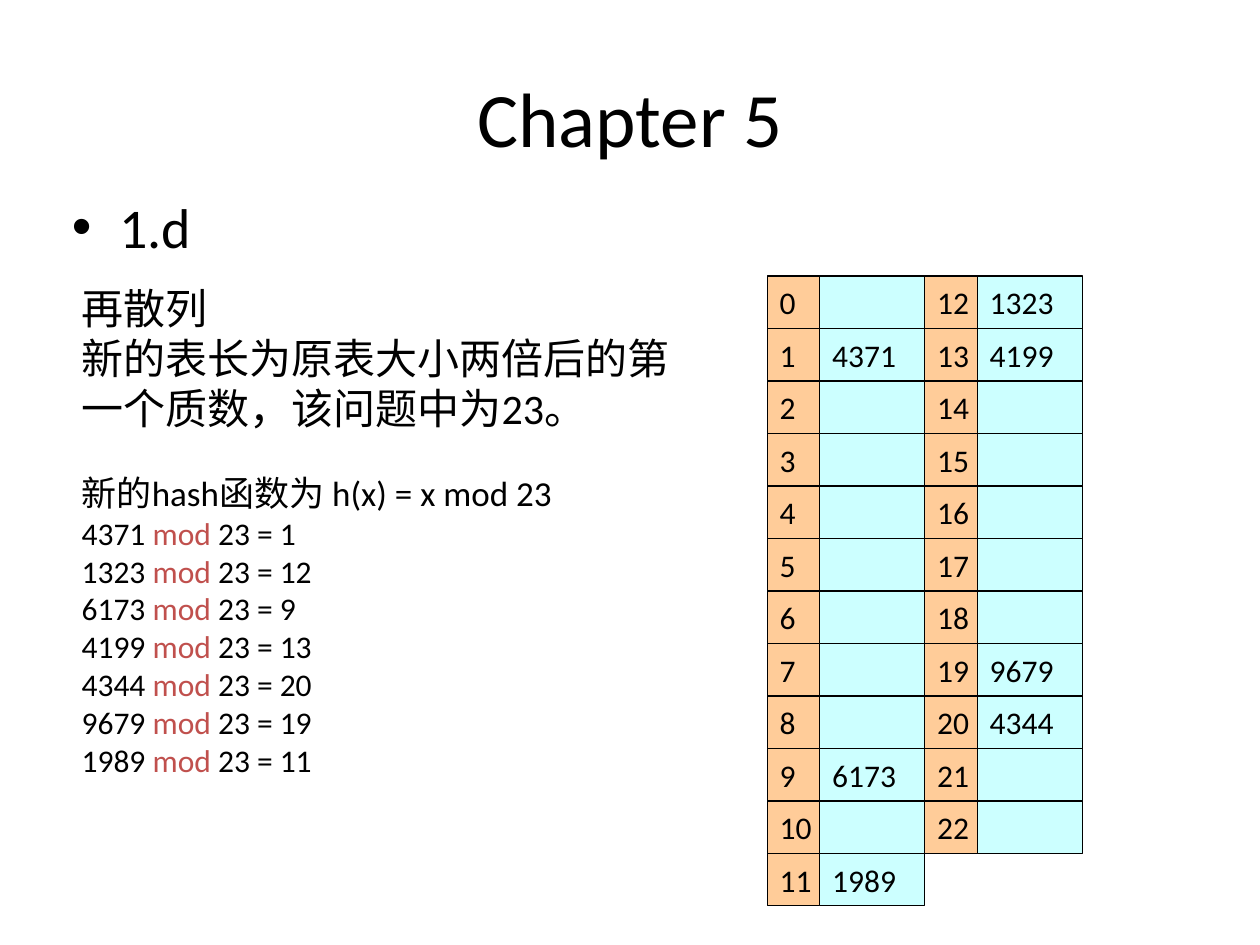
"""Build the Chapter 5 rehashing slide."""
from pptx import Presentation
from pptx.dml.color import RGBColor
from pptx.enum.shapes import MSO_SHAPE
from pptx.enum.text import MSO_ANCHOR, MSO_AUTO_SIZE, PP_ALIGN
from pptx.util import Inches, Pt

RECT = MSO_SHAPE.RECTANGLE
MIDDLE = MSO_ANCHOR.MIDDLE
LEFT, CENTER = PP_ALIGN.LEFT, PP_ALIGN.CENTER
NO_FIT, GROW = MSO_AUTO_SIZE.NONE, MSO_AUTO_SIZE.SHAPE_TO_FIT_TEXT

KEYS = [4371, 1323, 6173, 4199, 4344, 9679, 1989]
SIZE = 23
ROWS = 12
CELL = 5 / 12


def rgb(color):
    return RGBColor.from_string(color)


class Deck:
    font = "Calibri"
    ink = "000000"
    accent = "C0504D"
    index_fill = "FFCC99"
    value_fill = "CCFFFF"

    def __init__(self, prs):
        self.s = prs.slides.add_slide(prs.slide_layouts[1])

    def run(self, p, text, size, color=ink):
        r = p.add_run()
        r.text = text
        r.font.name = self.font
        r.font.size = Pt(size)
        r.font.color.rgb = rgb(color)

    def placeholder(self, idx, text, size, box):
        sp = self.s.placeholders[idx]
        sp.left, sp.top, sp.width, sp.height = map(Inches, box)
        tf = sp.text_frame
        tf.auto_size = NO_FIT
        self.run(tf.paragraphs[0], text, size)
        return tf

    def text(self, box, lines):
        tf = self.s.shapes.add_textbox(*map(Inches, box)).text_frame
        tf.word_wrap = True
        tf.auto_size = GROW
        for i, (size, gap, runs) in enumerate(lines):
            p = tf.add_paragraph() if i else tf.paragraphs[0]
            if gap:
                p.space_before = Pt(gap)
            for text, color in runs:
                self.run(p, text, size, color)

    def cell(self, group, x, y, width, fill, text):
        sp = group.shapes.add_shape(RECT, *map(Inches, (x, y, width, CELL)))
        sp.shadow.inherit = False
        sp.fill.solid()
        sp.fill.fore_color.rgb = rgb(fill)
        sp.line.color.rgb = rgb(self.ink)
        sp.line.width = Pt(0.75)
        if text:
            tf = sp.text_frame
            tf.word_wrap = False
            tf.vertical_anchor = MIDDLE
            p = tf.paragraphs[0]
            p.alignment = LEFT
            self.run(p, text, 18)

    def hash_table(self, left, top, slots):
        group = self.s.shapes.add_group_shape()
        for i in range(SIZE):
            col, row = divmod(i, ROWS)
            x, y = left + 3 * CELL * col, top + CELL * row
            self.cell(group, x + CELL, y, 2 * CELL, self.value_fill, slots.get(i))
            self.cell(group, x, y, CELL, self.index_fill, str(i))


def main():
    prs = Presentation()
    prs.slide_width, prs.slide_height = Inches(10), Inches(7.5)
    deck = Deck(prs)

    title = deck.placeholder(0, "Chapter 5", 44, (0.5, 0.3, 9, 1.25))
    title.vertical_anchor = MIDDLE
    title.paragraphs[0].alignment = CENTER
    body = deck.placeholder(1, "1.d", 32, (0.47, 1.48, 5.31, 0.7))
    body.paragraphs[0].space_before = Pt(0)

    deck.hash_table(6.09, 2.19, {key % SIZE: str(key) for key in KEYS})

    ink = deck.ink
    lines = [
        (24, 0, [("再散列", ink)]),
        (24, 0, [("新的表长为原表大小两倍后的第一个质数，该问题中为23。", ink)]),
        (20, 22, [("新的hash函数为 h(x) = x mod 23", ink)]),
    ]
    lines += [
        (18, 0, [(f"{key} ", ink), ("mod", deck.accent),
                 (f" {SIZE} = {key % SIZE}", ink)])
        for key in KEYS
    ]
    deck.text((0.55, 2.19, 5.16, 4.04), lines)

    prs.save("out.pptx")


if __name__ == "__main__":
    main()
